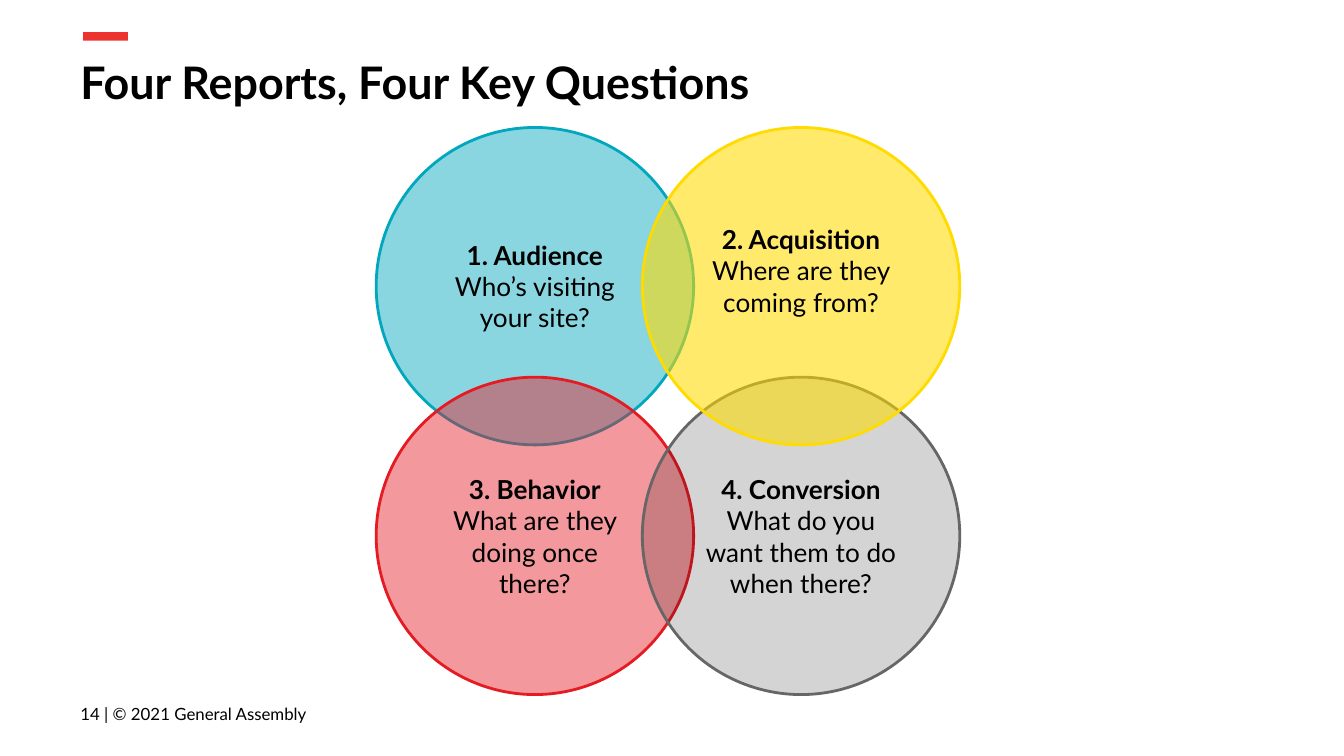
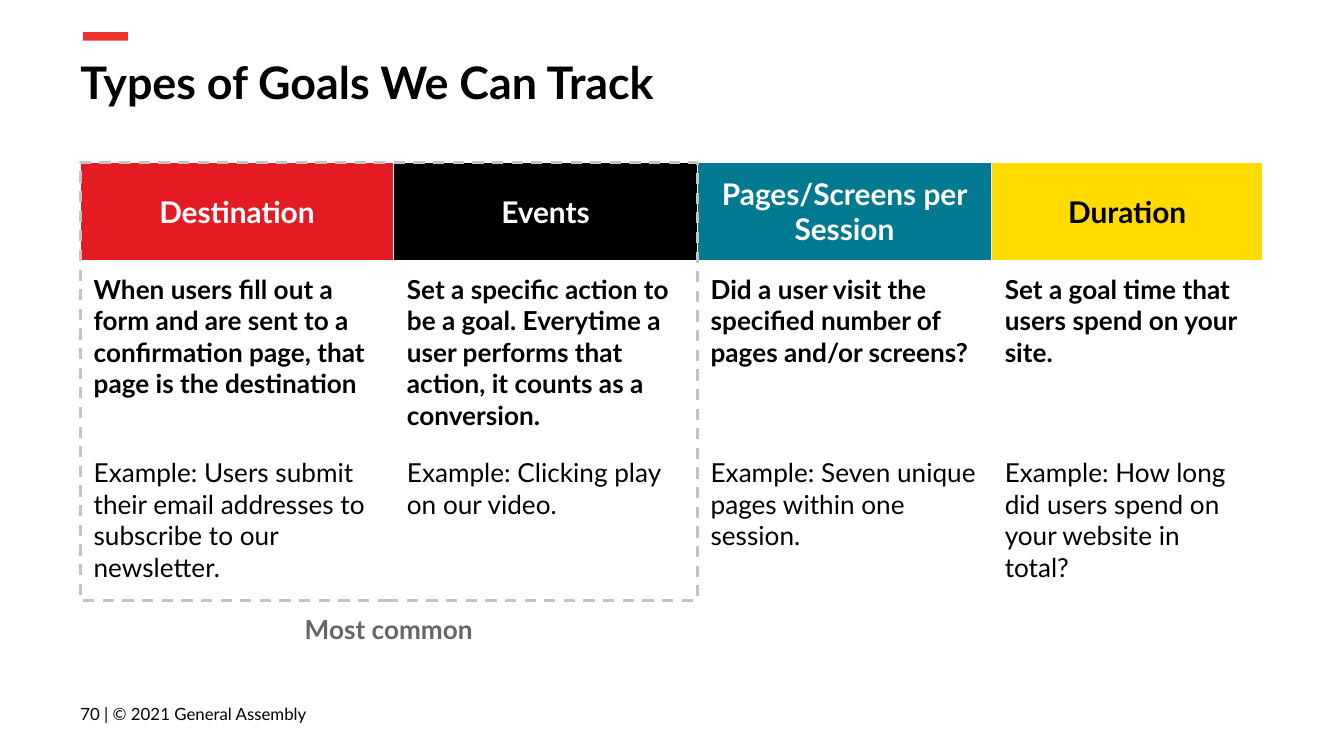
from pptx import Presentation
from pptx.dml.color import RGBColor
from pptx.enum.dml import MSO_LINE
from pptx.enum.shapes import MSO_SHAPE
from pptx.enum.text import MSO_ANCHOR, PP_ALIGN
from pptx.oxml.ns import qn
from pptx.util import Cm, Pt
from lxml.etree import SubElement

# Content
REPORTS_TITLE = "Four Reports, Four Key Questions"
GOALS_TITLE = "Types of Goals We Can Track"
FOOTER = "{} | © 2021 General Assembly"
MOST_COMMON = "Most common"

# Colours and font
FONT = "Lato"
BLACK = RGBColor(0x00, 0x00, 0x00)
WHITE = RGBColor(0xFF, 0xFF, 0xFF)
ACCENT = RGBColor(0xED, 0x33, 0x2F)
RED = RGBColor(0xE5, 0x1B, 0x24)
CYAN = RGBColor(0x00, 0xA7, 0xBD)
TEAL = RGBColor(0x01, 0x79, 0x91)
YELLOW = RGBColor(0xFF, 0xDB, 0x00)
GREY = RGBColor(0x66, 0x66, 0x66)
LIGHT_GREY = RGBColor(0xC3, 0xC3, 0xC3)

# Back to front: heading, question, column, row, fill, opacity %, line, bottom inset
REPORTS = [
    ("1. Audience", "Who’s visiting your site?", 0, 0, CYAN, 46, CYAN, 0.25),
    ("3. Behavior", "What are they doing once there?", 0, 1, RED, 45, RED, 0.25),
    ("4. Conversion", "What do you want them to do when there?", 1, 1, BLACK, 17, GREY, 0.25),
    ("2. Acquisition", "Where are they coming from?", 1, 0, YELLOW, 58, YELLOW, 0.85),
]

# Heading, fill, heading colour, column width, description, example
GOALS = [
    ("Destination", RED, WHITE, 5.92,
     "When users fill out a form and are sent to a confirmation page, "
     "that page is the destination",
     "Example: Users submit their email addresses to subscribe to our newsletter."),
    ("Events", BLACK, WHITE, 5.74,
     "Set a specific action to be a goal. Everytime a user performs that action, "
     "it counts as a conversion.",
     "Example: Clicking play on our video."),
    ("Pages/Screens per Session", TEAL, WHITE, 5.56,
     "Did a user visit the specified number of pages and/or screens?",
     "Example: Seven unique pages within one session."),
    ("Duration", YELLOW, BLACK, 5.13,
     "Set a goal time that users spend on your site.",
     "Example: How long did users spend on your website in total?"),
]

# Layout in centimetres
INSET = 0.25
CIRCLE_LEFT, CIRCLE_TOP, CIRCLE_SIZE = 7.11, 2.41, 6
CIRCLE_STEP_X, CIRCLE_STEP_Y = 5.03, 4.72
TABLE_LEFT, TABLE_TOP = 1.52, 3.07
ROW_HEIGHTS = [1.55, 3.38, 2.87]
FRAME_HEIGHT = 8.28
LABEL_WIDTH, LABEL_HEIGHT = 4.37, 0.71


def style(p, size, color=BLACK, bold=False, align=PP_ALIGN.LEFT):
    p.alignment = align
    for r in p.runs:
        r.font.name = FONT
        r.font.size = Pt(size)
        r.font.bold = bold
        r.font.color.rgb = color


def set_insets(box):
    box.margin_left = box.margin_right = Cm(INSET)
    box.margin_top = box.margin_bottom = Cm(INSET)


def add_text(s, text, left, top, width, height, size, anchor=MSO_ANCHOR.MIDDLE, **look):
    tf = s.shapes.add_textbox(Cm(left), Cm(top), Cm(width), Cm(height)).text_frame
    tf.word_wrap = True
    tf.vertical_anchor = anchor
    set_insets(tf)
    tf.text = text
    style(tf.paragraphs[0], size, **look)


def add_shape(s, kind, left, top, width, height, fill=None, line=None):
    sp = s.shapes.add_shape(kind, Cm(left), Cm(top), Cm(width), Cm(height))
    sp.shadow.inherit = False
    if fill is None:
        sp.fill.background()
    else:
        sp.fill.solid()
        sp.fill.fore_color.rgb = fill
    if line is None:
        sp.line.fill.background()
    else:
        sp.line.color.rgb = line
        sp.line.width = Pt(1.5)
    return sp


def set_opacity(sp, percent):
    color = sp.element.spPr.find(qn("a:solidFill"))[0]
    SubElement(color, qn("a:alpha")).set("val", str(percent * 1000))


def add_borders(cell, color):
    tc_pr = cell._tc.get_or_add_tcPr()
    for i, side in enumerate(("lnL", "lnR", "lnT", "lnB")):
        ln = SubElement(tc_pr, qn("a:" + side))
        ln.set("w", str(Pt(0.75)))
        SubElement(SubElement(ln, qn("a:solidFill")), qn("a:srgbClr")).set("val", str(color))
        tc_pr.insert(i, ln)


def add_slide(prs, title, number):
    s = prs.slides.add_slide(prs.slide_layouts[6])
    add_shape(s, MSO_SHAPE.RECTANGLE, 1.57, 0.61, 0.85, 0.16, ACCENT)
    add_text(s, title, 1.27, 0.79, 23.67, 1.6, 24, MSO_ANCHOR.TOP, bold=True)
    add_text(s, FOOTER.format(number), 1.27, 12.95, 6.58, 1.09, 9)
    return s


def build_reports(prs):
    s = add_slide(prs, REPORTS_TITLE, 14)
    for heading, question, col, row, fill, opacity, line, bottom in REPORTS:
        sp = add_shape(s, MSO_SHAPE.OVAL,
                       CIRCLE_LEFT + col * CIRCLE_STEP_X, CIRCLE_TOP + row * CIRCLE_STEP_Y,
                       CIRCLE_SIZE, CIRCLE_SIZE, fill, line)
        set_opacity(sp, opacity)
        tf = sp.text_frame
        tf.word_wrap = True
        tf.vertical_anchor = MSO_ANCHOR.MIDDLE
        set_insets(tf)
        tf.margin_bottom = Cm(bottom)
        tf.text = f"{heading}\n{question}"
        for p, bold in zip(tf.paragraphs, (True, False)):
            style(p, 14, bold=bold, align=PP_ALIGN.CENTER)


def fill_cell(cell, text, size, **look):
    set_insets(cell)
    cell.text = text
    style(cell.text_frame.paragraphs[0], size, **look)


def build_goals(prs):
    s = add_slide(prs, GOALS_TITLE, 70)
    widths = [goal[3] for goal in GOALS]
    table = s.shapes.add_table(len(ROW_HEIGHTS), len(GOALS), Cm(TABLE_LEFT), Cm(TABLE_TOP),
                               Cm(sum(widths)), Cm(sum(ROW_HEIGHTS))).table
    table.first_row = table.horz_banding = False
    for row, height in zip(table.rows, ROW_HEIGHTS):
        row.height = Cm(height)

    # One column per goal
    for c, (heading, fill, color, width, description, example) in enumerate(GOALS):
        table.columns[c].width = Cm(width)
        head, middle, last = (table.cell(r, c) for r in range(len(ROW_HEIGHTS)))
        fill_cell(head, heading, 16, color=color, bold=True, align=PP_ALIGN.CENTER)
        head.vertical_anchor = MSO_ANCHOR.MIDDLE
        head.fill.solid()
        head.fill.fore_color.rgb = fill
        add_borders(head, WHITE)
        fill_cell(middle, description, 14, bold=True)
        fill_cell(last, example, 14)
        for cell in (middle, last):
            cell.fill.background()

    # Dashed frame around the first two columns, label centred below
    frame_width = sum(widths[:2])
    frame = add_shape(s, MSO_SHAPE.RECTANGLE, TABLE_LEFT, TABLE_TOP,
                      frame_width, FRAME_HEIGHT, line=LIGHT_GREY)
    frame.line.dash_style = MSO_LINE.DASH
    add_text(s, MOST_COMMON, TABLE_LEFT + (frame_width - LABEL_WIDTH) / 2,
             TABLE_TOP + FRAME_HEIGHT + 0.18, LABEL_WIDTH, LABEL_HEIGHT, 14,
             color=GREY, bold=True, align=PP_ALIGN.CENTER)


def main():
    prs = Presentation()
    prs.slide_width, prs.slide_height = Cm(25.4), Cm(14.29)
    build_reports(prs)
    build_goals(prs)
    prs.save("out.pptx")


if __name__ == "__main__":
    main()
